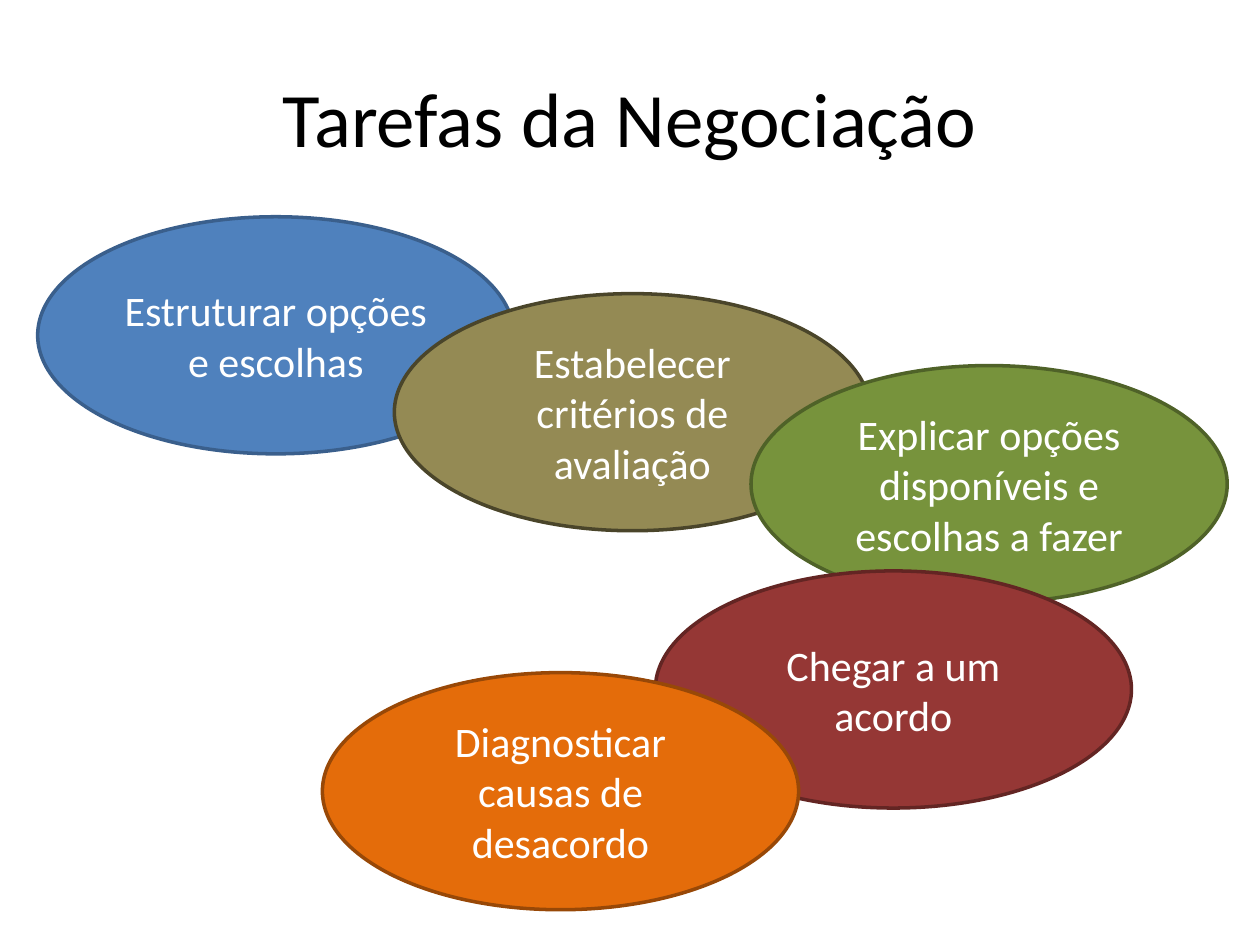
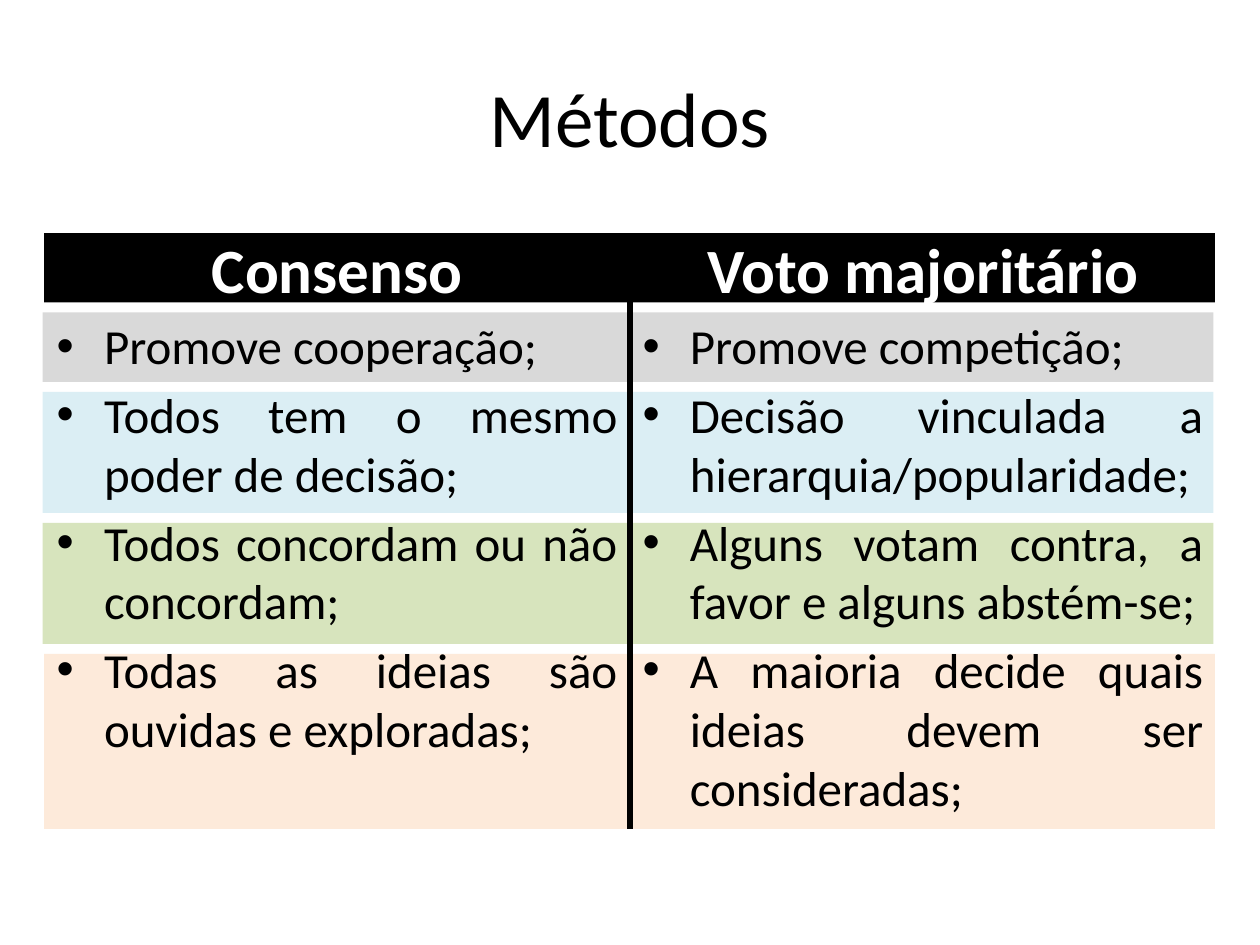
from dataclasses import dataclass
from lxml.etree import SubElement
from pptx import Presentation
from pptx.dml.color import RGBColor
from pptx.enum.shapes import MSO_CONNECTOR, MSO_SHAPE
from pptx.enum.text import MSO_ANCHOR, MSO_AUTO_SIZE, PP_ALIGN
from pptx.oxml.ns import qn
from pptx.util import Cm, Pt


@dataclass(frozen=True)
class Theme:
    font: str = "Calibri"
    black: str = "000000"
    white: str = "FFFFFF"
    blue: tuple = ("4F81BD", "3A5F8C")
    tan: tuple = ("948A54", "4A452A")
    green: tuple = ("77933C", "4F6228")
    red: tuple = ("953735", "632523")
    orange: tuple = ("E46C0A", "984807")
    pale_gray: str = "D9D9D9"
    pale_blue: str = "DBEEF4"
    pale_green: str = "D7E4BD"
    pale_orange: str = "FDEADA"
    title_size: int = 44
    heading_size: int = 36
    list_size: int = 28
    task_size: int = 24
    outline_width: int = 2
    divider_width: int = 3


class SlideBuilder:
    def __init__(self, deck, theme):
        self.deck = deck
        self.theme = theme
        self.page = None

    def start(self, layout_index, title):
        self.page = self.deck.slides.add_slide(self.deck.slide_layouts[layout_index])
        box = self.page.shapes.title
        self.place(box, 1.27, 0.76, 22.86, 3.18)
        box.text_frame.vertical_anchor = MSO_ANCHOR.MIDDLE
        self.add_text(box.text_frame.paragraphs[0], title, self.theme.title_size, self.theme.black)

    def place(self, box, left, top, width, height):
        lengths = {"left": left, "top": top, "width": width, "height": height}
        for name, value in lengths.items():
            setattr(box, name, Cm(value))

    def add_text(self, para, text, size, color, bold=False, alignment=PP_ALIGN.CENTER):
        para.alignment = alignment
        span = para.add_run()
        span.text = text
        formats = {"name": self.theme.font, "size": Pt(size), "bold": bold}
        for name, value in formats.items():
            setattr(span.font, name, value)
        span.font.color.rgb = RGBColor.from_string(color)

    def shape(self, kind, left, top, width, height, fill):
        box = self.page.shapes.add_shape(kind, Cm(left), Cm(top), Cm(width), Cm(height))
        box.shadow.inherit = False
        box.fill.solid()
        box.fill.fore_color.rgb = RGBColor.from_string(fill)
        return box

    def ellipse(self, text, left, top, width, height, colors):
        fill, outline = colors
        box = self.shape(MSO_SHAPE.OVAL, left, top, width, height, fill)
        box.line.color.rgb = RGBColor.from_string(outline)
        box.line.width = Pt(self.theme.outline_width)
        frame = box.text_frame
        formats = {"word_wrap": True, "vertical_anchor": MSO_ANCHOR.MIDDLE}
        for name, value in formats.items():
            setattr(frame, name, value)
        self.add_text(frame.paragraphs[0], text, self.theme.task_size, self.theme.white)

    def band(self, position, left, top, width, height, fill):
        box = self.shape(MSO_SHAPE.RECTANGLE, left, top, width, height, fill)
        box.line.fill.background()
        self.page.shapes._spTree.insert(2 + position, box._element)

    def column(self, index, left, top, width, height, heading, items):
        box = self.page.placeholders[index]
        self.place(box, left, top, width, height)
        frame = box.text_frame
        frame.auto_size = MSO_AUTO_SIZE.NONE
        para = frame.paragraphs[0]
        self.add_text(para, heading, self.theme.heading_size, self.theme.white, bold=True)
        properties = para._p.get_or_add_pPr()
        for name in ("marL", "indent"):
            properties.set(name, "0")
        SubElement(properties, qn("a:buNone"))
        for item in items:
            self.add_text(frame.add_paragraph(), item, self.theme.list_size,
                          self.theme.black, alignment=PP_ALIGN.JUSTIFY)

    def divider(self, left, top, bottom):
        line = self.page.shapes.add_connector(
            MSO_CONNECTOR.STRAIGHT, Cm(left), Cm(top), Cm(left), Cm(bottom))
        line.line.color.rgb = RGBColor.from_string(self.theme.black)
        line.line.width = Pt(self.theme.divider_width)
        SubElement(line._element.spPr, qn("a:effectLst"))


def add_tasks(builder):
    theme = builder.theme
    builder.start(5, "Tarefas da Negociação")
    tasks = [
        ("Estruturar opções e escolhas", 0.76, 4.37, theme.blue),
        ("Estabelecer critérios de avaliação", 7.95, 5.92, theme.tan),
        ("Explicar opções disponíveis e escolhas a fazer", 15.14, 7.37, theme.green),
        ("Chegar a um acordo", 13.21, 11.51, theme.red),
        ("Diagnosticar causas de desacordo", 6.5, 13.56, theme.orange),
    ]
    for text, left, top, colors in tasks:
        builder.ellipse(text, left, top, 9.6, 4.78, colors)


def add_methods(builder):
    theme = builder.theme
    builder.start(3, "Métodos")
    first_top, gap = 4.7, 0.2
    bands = [
        (0.89, 1.4, theme.black),
        (0.86, 1.4, theme.pale_gray),
        (0.86, 2.44, theme.pale_blue),
        (0.86, 2.44, theme.pale_green),
        (0.89, 3.53, theme.pale_orange),
    ]
    top = first_top
    for position, (left, height, fill) in enumerate(bands):
        builder.band(position, left, top, 23.6, height, fill)
        top += height + gap
    columns = [
        ("Consenso", [
            "Promove cooperação;",
            "Todos tem o mesmo poder de decisão;",
            "Todos concordam ou não concordam;",
            "Todas as ideias são ouvidas e exploradas;",
        ]),
        ("Voto majoritário", [
            "Promove competição;",
            "Decisão vinculada a hierarquia/popularidade;",
            "Alguns votam contra, a favor e alguns abstém-se;",
            "A maioria decide quais ideias devem ser consideradas;",
        ]),
    ]
    column_left, column_width = 0.89, 11.81
    for number, (heading, items) in enumerate(columns):
        left = column_left + number * column_width
        builder.column(number + 1, left, 4.52, column_width, 12.57, heading, items)
    builder.divider(column_left + column_width, first_top, top - gap)


def main():
    deck = Presentation()
    deck.slide_width = Cm(25.4)
    deck.slide_height = Cm(19.05)
    builder = SlideBuilder(deck, Theme())
    add_tasks(builder)
    add_methods(builder)
    deck.save("out.pptx")


if __name__ == "__main__":
    main()
